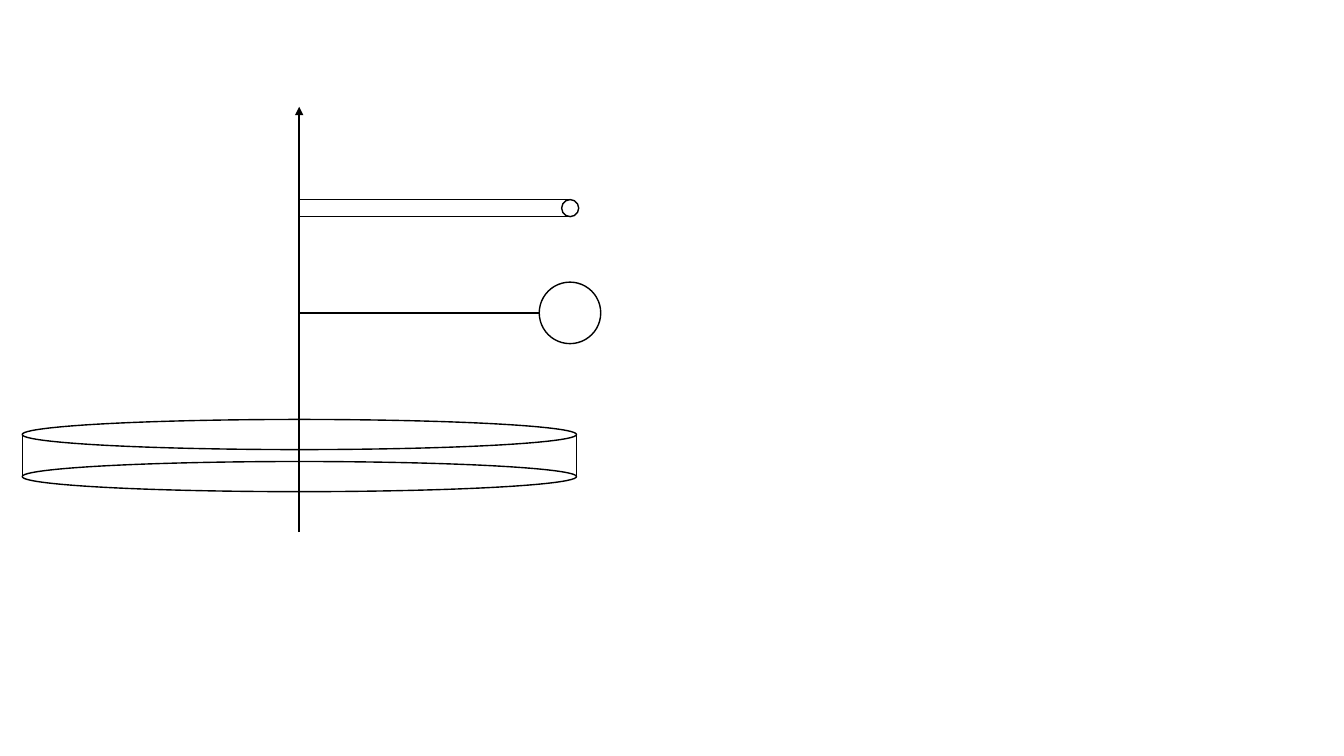
import pptx
import pptx.util
import pptx.dml.color
import pptx.enum.shapes
import pptx.oxml.ns
import lxml.etree

Cm = pptx.util.Cm
SHAPE = pptx.enum.shapes.MSO_SHAPE
BLACK = pptx.dml.color.RGBColor(0x00, 0x00, 0x00)
WHITE = pptx.dml.color.RGBColor(0xFF, 0xFF, 0xFF)
qn = pptx.oxml.ns.qn

prs = pptx.Presentation()
prs.slide_width = Cm(33.87)
prs.slide_height = Cm(19.05)
s = prs.slides.add_slide(prs.slide_layouts[6])


def add_outline(kind, left, top, width, height, fill=None):
    sp = s.shapes.add_shape(kind, Cm(left), Cm(top), Cm(width), Cm(height))
    sp.shadow.inherit = False
    if fill is None:
        sp.fill.background()
    else:
        sp.fill.solid()
        sp.fill.fore_color.rgb = fill
    sp.line.color.rgb = BLACK
    sp.line.width = pptx.util.Pt(1)


def add_line(x1, y1, x2, y2, weight=1):
    line = s.shapes.add_connector(pptx.enum.shapes.MSO_CONNECTOR.STRAIGHT,
                                  Cm(x1), Cm(y1), Cm(x2), Cm(y2))
    line.line.color.rgb = BLACK
    line.line.width = pptx.util.Pt(weight)
    lxml.etree.SubElement(line._element.spPr, qn("a:effectLst"))
    return line


axis_x = 7.54

# Rod body, behind the axis
rod_top, rod_length, rod_width = 5.03, 6.83, 0.43
add_outline(SHAPE.RECTANGLE, axis_x, rod_top, rod_length, rod_width)

# Rotation axis pointing up
axis = add_line(axis_x, 13.41, axis_x, 2.69, 1.5)
lxml.etree.SubElement(axis.line._get_or_add_ln(), qn("a:tailEnd"), type="triangle")

# Ball on a string
ball_left, ball_top, ball_size = 13.59, 7.11, 1.55
string_y = ball_top + ball_size / 2
add_outline(SHAPE.OVAL, ball_left, ball_top, ball_size, ball_size)
add_line(ball_left, string_y, axis_x, string_y)

# Round end of the rod
add_outline(SHAPE.OVAL, axis_x + rod_length - rod_width / 2, rod_top,
            rod_width, rod_width, WHITE)

# Disc: two faces joined by its sides
disc_left, disc_top, disc_width = 0.56, 10.57, 13.97
face_height, disc_thickness = 0.76, 1.06
side_top = disc_top + face_height / 2
for face_top in (disc_top, disc_top + disc_thickness):
    add_outline(SHAPE.OVAL, disc_left, face_top, disc_width, face_height)
for side_x in (disc_left, disc_left + disc_width):
    add_line(side_x, side_top, side_x, side_top + disc_thickness)

prs.save("out.pptx")
